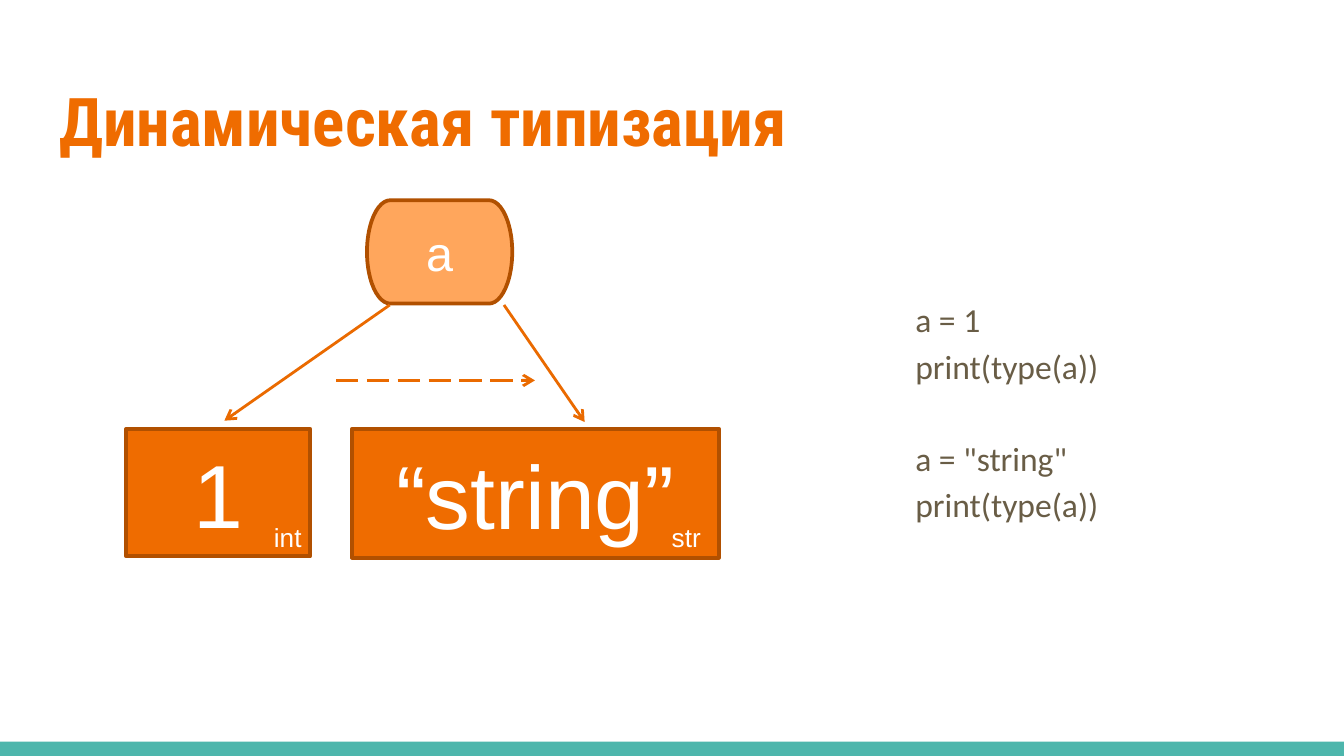
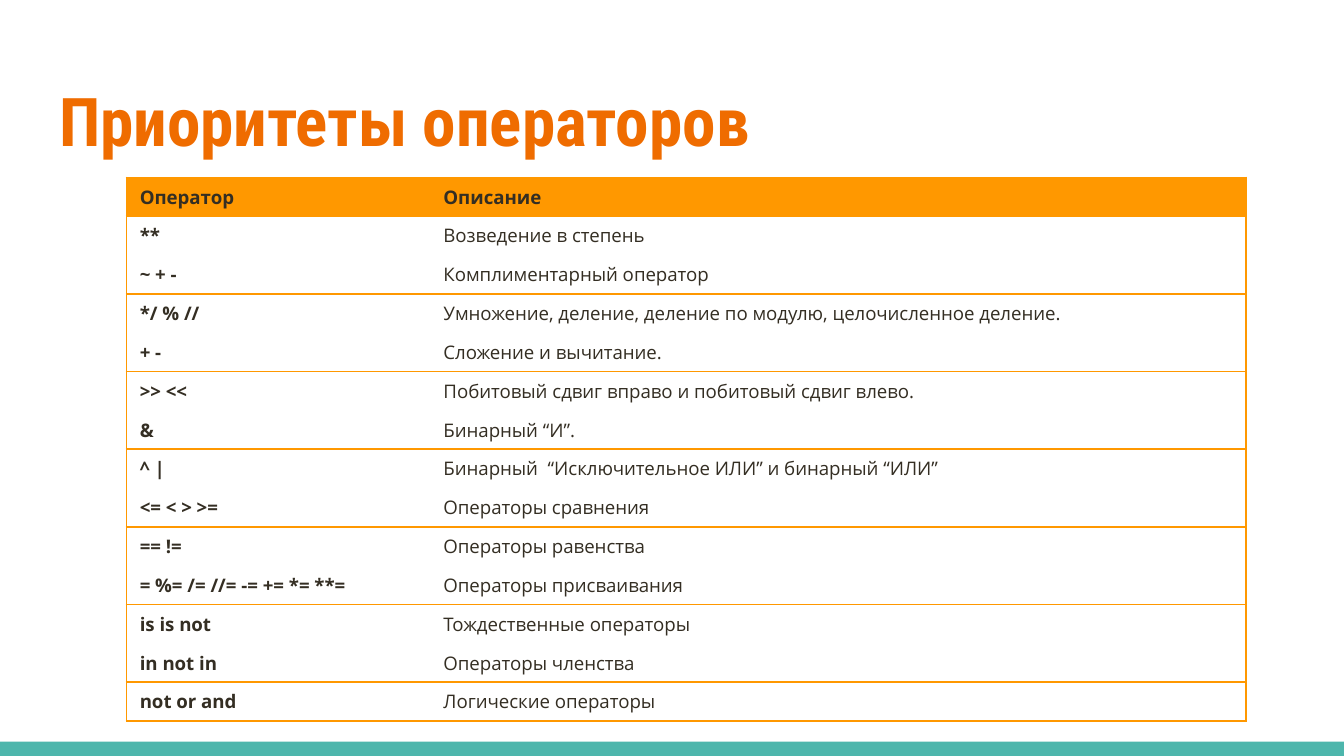
"""Build two slides on dynamic typing and operator precedence."""
from dataclasses import dataclass
from typing import Optional

from lxml import etree
from pptx import Presentation
from pptx.dml.color import RGBColor
from pptx.enum.dml import MSO_LINE
from pptx.enum.shapes import MSO_CONNECTOR, MSO_SHAPE
from pptx.enum.text import MSO_ANCHOR, MSO_AUTO_SIZE, PP_ALIGN
from pptx.oxml.ns import qn
from pptx.util import Pt

RECTANGLE = MSO_SHAPE.RECTANGLE
TERMINATOR = MSO_SHAPE.FLOWCHART_TERMINATOR
STRAIGHT = MSO_CONNECTOR.STRAIGHT
LONG_DASH = MSO_LINE.LONG_DASH
TOP, MIDDLE = MSO_ANCHOR.TOP, MSO_ANCHOR.MIDDLE
LEFT, CENTER = PP_ALIGN.LEFT, PP_ALIGN.CENTER
NO_AUTOFIT = MSO_AUTO_SIZE.NONE
TITLE_AND_CONTENT, TITLE_ONLY = 1, 5


@dataclass(frozen=True)
class TextStyle:
    font: str
    size: float
    color: str
    bold: bool = False


@dataclass(frozen=True)
class Theme:
    white: str = "FFFFFF"
    band: str = "4DB6AC"
    value_fill: str = "EF6C00"
    name_fill: str = "FFA65C"
    outline: str = "B15000"
    arrow: str = "EA6A00"
    table_line: str = "FF9800"
    title: TextStyle = TextStyle("Roboto Condensed", 36, "EF6C00", True)
    code: TextStyle = TextStyle("Calibri", 18, "695D46")
    value: TextStyle = TextStyle("Arial", 48, "FFFFFF")
    name: TextStyle = TextStyle("Arial", 26, "FFFFFF")
    type_label: TextStyle = TextStyle("Arial", 14, "FFFFFF")
    cell: TextStyle = TextStyle("Open Sans", 10, "342E23")
    cell_bold: TextStyle = TextStyle("Open Sans", 10, "342E23", True)


@dataclass(frozen=True)
class Box:
    left: float
    top: float
    width: float
    height: float

    def lengths(self) -> tuple:
        """Return the box as lengths in points."""
        return Pt(self.left), Pt(self.top), Pt(self.width), Pt(self.height)


@dataclass(frozen=True)
class Node:
    text: str
    box: Box
    preset: MSO_SHAPE
    fill: str
    style: TextStyle


@dataclass(frozen=True)
class Arrow:
    start: tuple[float, float]
    end: tuple[float, float]
    dash: Optional[MSO_LINE] = None


@dataclass(frozen=True)
class Label:
    text: str
    left: float


@dataclass(frozen=True)
class CodeLine:
    text: str
    space_before: float = 0


THEME = Theme()
SLIDE_WIDTH, SLIDE_HEIGHT = 720, 405
BAND_BOX = Box(0, 397.4, SLIDE_WIDTH, 7.6)
TITLE_BOX = Box(24.5, 35.3, 671, 55.4)
CODE_BOX = Box(474.5, 149.8, 224.6, 260)
PLACEHOLDER_INSET = 7.2
CODE_INDENT = 8.64
LABEL_TOP, LABEL_WIDTH, LABEL_HEIGHT = 275.8, 47.5, 27.4
CONTENT_LEFT = 67.7
TABLE_TOP, ROW_HEIGHT = 95, 20.2
COLUMN_WIDTHS = (162.7, 437)

NODES = (
    Node("1", Box(CONTENT_LEFT, 229.7, 98.6, 68.4), RECTANGLE, THEME.value_fill, THEME.value),
    Node("“string”", Box(188.6, 229.7, 196.6, 69.1), RECTANGLE, THEME.value_fill, THEME.value),
    Node("a", Box(196.6, 107.3, 77.8, 55.4), TERMINATOR, THEME.name_fill, THEME.name),
)
ARROWS = (
    Arrow((208.8, 163.4), (120.2, 225.4)),
    Arrow((180, 203.8), (286.6, 203.8), LONG_DASH),
    Arrow((270, 163.4), (313.2, 226.1)),
)
LABELS = (Label("int", 139.7), Label("str", 352.8))
CODE = (
    CodeLine("a = 1"),
    CodeLine("print(type(a))"),
    CodeLine('a = "string"', 24.6),
    CodeLine("print(type(a))"),
)
OPERATORS = (
    ("Оператор", "Описание"),
    ("**", "Возведение в степень"),
    ("~ + -", "Комплиментарный оператор"),
    ("*/ % //", "Умножение, деление, деление по модулю, целочисленное деление."),
    ("+ -", "Сложение и вычитание."),
    (">> <<", "Побитовый сдвиг вправо и побитовый сдвиг влево."),
    ("&", "Бинарный “И”."),
    ("^ |", "Бинарный  “Исключительное ИЛИ” и бинарный “ИЛИ”"),
    ("<= < > >=", "Операторы сравнения"),
    ("== !=", "Операторы равенства"),
    ("= %= /= //= -= += *= **=", "Операторы присваивания"),
    ("is is not", "Тождественные операторы"),
    ("in not in", "Операторы членства"),
    ("not or and", "Логические операторы"),
)


def add_run(paragraph, text: str, style: TextStyle) -> None:
    """Add one styled run to a paragraph."""
    run = paragraph.add_run()
    run.text = text
    run.font.name = style.font
    run.font.size = Pt(style.size)
    run.font.bold = style.bold
    run.font.color.rgb = RGBColor.from_string(style.color)


def place(shape, box: Box) -> None:
    """Move a placeholder to a box and set up its text frame."""
    shape.left, shape.top, shape.width, shape.height = box.lengths()
    frame = shape.text_frame
    frame.margin_left = frame.margin_right = Pt(PLACEHOLDER_INSET)
    frame.margin_top = frame.margin_bottom = Pt(PLACEHOLDER_INSET)
    frame.auto_size = NO_AUTOFIT
    frame.word_wrap = True
    frame.vertical_anchor = TOP


def add_titled_slide(presentation, layout: int, title: str):
    """Add a slide with a styled title."""
    slide = presentation.slides.add_slide(presentation.slide_layouts[layout])
    place(slide.shapes.title, TITLE_BOX)
    paragraph = slide.shapes.title.text_frame.paragraphs[0]
    paragraph.alignment = LEFT
    add_run(paragraph, title, THEME.title)
    return slide


def add_filled_shape(slide, preset: MSO_SHAPE, box: Box, fill: str):
    """Add a flat preset shape without an outline."""
    shape = slide.shapes.add_shape(preset, *box.lengths())
    shape.shadow.inherit = False
    shape.fill.solid()
    shape.fill.fore_color.rgb = RGBColor.from_string(fill)
    shape.line.fill.background()
    return shape


def add_master_band(presentation, slide) -> None:
    """Put the bottom band on the slide master."""
    band = add_filled_shape(slide, RECTANGLE, BAND_BOX, THEME.band)
    band.element.nvSpPr.cNvPr.set("id", "20")
    presentation.slide_master.element.cSld.spTree.insert(2, band.element)


def add_node(slide, node: Node) -> None:
    """Draw an outlined shape with centred text."""
    shape = add_filled_shape(slide, node.preset, node.box, node.fill)
    shape.line.fill.solid()
    shape.line.color.rgb = RGBColor.from_string(THEME.outline)
    shape.line.width = Pt(2)
    shape.text_frame.vertical_anchor = MIDDLE
    paragraph = shape.text_frame.paragraphs[0]
    paragraph.alignment = CENTER
    add_run(paragraph, node.text, node.style)


def add_arrow(slide, arrow: Arrow) -> None:
    """Draw a straight connector with an open arrowhead."""
    points = (Pt(value) for value in (*arrow.start, *arrow.end))
    connector = slide.shapes.add_connector(STRAIGHT, *points)
    connector.line.color.rgb = RGBColor.from_string(THEME.arrow)
    connector.line.width = Pt(1.5)
    if arrow.dash is not None:
        connector.line.dash_style = arrow.dash
    properties = connector.element.spPr
    etree.SubElement(properties.get_or_add_ln(), qn("a:tailEnd"), type="arrow")
    etree.SubElement(properties, qn("a:effectLst"))


def add_label(slide, label: Label) -> None:
    """Add a small type label."""
    box = Box(label.left, LABEL_TOP, LABEL_WIDTH, LABEL_HEIGHT)
    frame = slide.shapes.add_textbox(*box.lengths()).text_frame
    frame.word_wrap = True
    add_run(frame.paragraphs[0], label.text, THEME.type_label)


def fill_code(shape, lines: tuple[CodeLine, ...]) -> None:
    """Write the code lines into the body placeholder."""
    place(shape, CODE_BOX)
    frame = shape.text_frame
    for index, line in enumerate(lines):
        paragraph = frame.add_paragraph() if index else frame.paragraphs[0]
        paragraph.line_spacing = 1.15
        paragraph.space_before = Pt(line.space_before)
        paragraph.space_after = Pt(0)
        properties = paragraph._p.get_or_add_pPr()
        properties.set("marL", str(Pt(CODE_INDENT)))
        properties.set("indent", "0")
        etree.SubElement(properties, qn("a:buNone"))
        add_run(paragraph, line.text, THEME.code)


def set_borders(cell, edges: dict[str, bool]) -> None:
    """Show or hide each edge of a cell."""
    properties = cell._tc.get_or_add_tcPr()
    for edge, visible in edges.items():
        line = etree.SubElement(properties, qn(f"a:ln{edge}"), w=str(Pt(1)))
        if visible:
            fill = etree.SubElement(line, qn("a:solidFill"))
            etree.SubElement(fill, qn("a:srgbClr"), val=THEME.table_line)
        else:
            etree.SubElement(line, qn("a:noFill"))


def add_operator_table(slide, rows: tuple[tuple[str, str], ...]) -> None:
    """Draw the operators with a rule around every second row."""
    box = Box(CONTENT_LEFT, TABLE_TOP, sum(COLUMN_WIDTHS), ROW_HEIGHT * len(rows))
    table = slide.shapes.add_table(len(rows), len(COLUMN_WIDTHS), *box.lengths()).table
    table.first_row = table.horz_banding = False
    for column, width in zip(table.columns, COLUMN_WIDTHS):
        column.width = Pt(width)
    last_row, last_column = len(rows) - 1, len(COLUMN_WIDTHS) - 1
    for row_index, row in enumerate(rows):
        table.rows[row_index].height = Pt(ROW_HEIGHT)
        is_header, is_odd = row_index == 0, row_index % 2 == 1
        for column_index, text in enumerate(row):
            cell = table.cell(row_index, column_index)
            set_borders(cell, {
                "L": column_index == 0,
                "R": column_index == last_column,
                "T": is_header or is_odd,
                "B": not is_odd or row_index == last_row,
            })
            cell.fill.solid()
            fill = THEME.table_line if is_header else THEME.white
            cell.fill.fore_color.rgb = RGBColor.from_string(fill)
            cell.vertical_anchor = MIDDLE
            bold = is_header or column_index == 0
            style = THEME.cell_bold if bold else THEME.cell
            add_run(cell.text_frame.paragraphs[0], text, style)


def main() -> None:
    """Build and save the presentation."""
    presentation = Presentation()
    presentation.slide_width, presentation.slide_height = Pt(SLIDE_WIDTH), Pt(SLIDE_HEIGHT)
    typing_slide = add_titled_slide(presentation, TITLE_AND_CONTENT, "Динамическая типизация")
    add_master_band(presentation, typing_slide)
    fill_code(typing_slide.placeholders[1], CODE)
    for node in NODES:
        add_node(typing_slide, node)
    for arrow in ARROWS:
        add_arrow(typing_slide, arrow)
    for label in LABELS:
        add_label(typing_slide, label)
    operator_slide = add_titled_slide(presentation, TITLE_ONLY, "Приоритеты операторов")
    add_operator_table(operator_slide, OPERATORS)
    presentation.save("out.pptx")


main()
